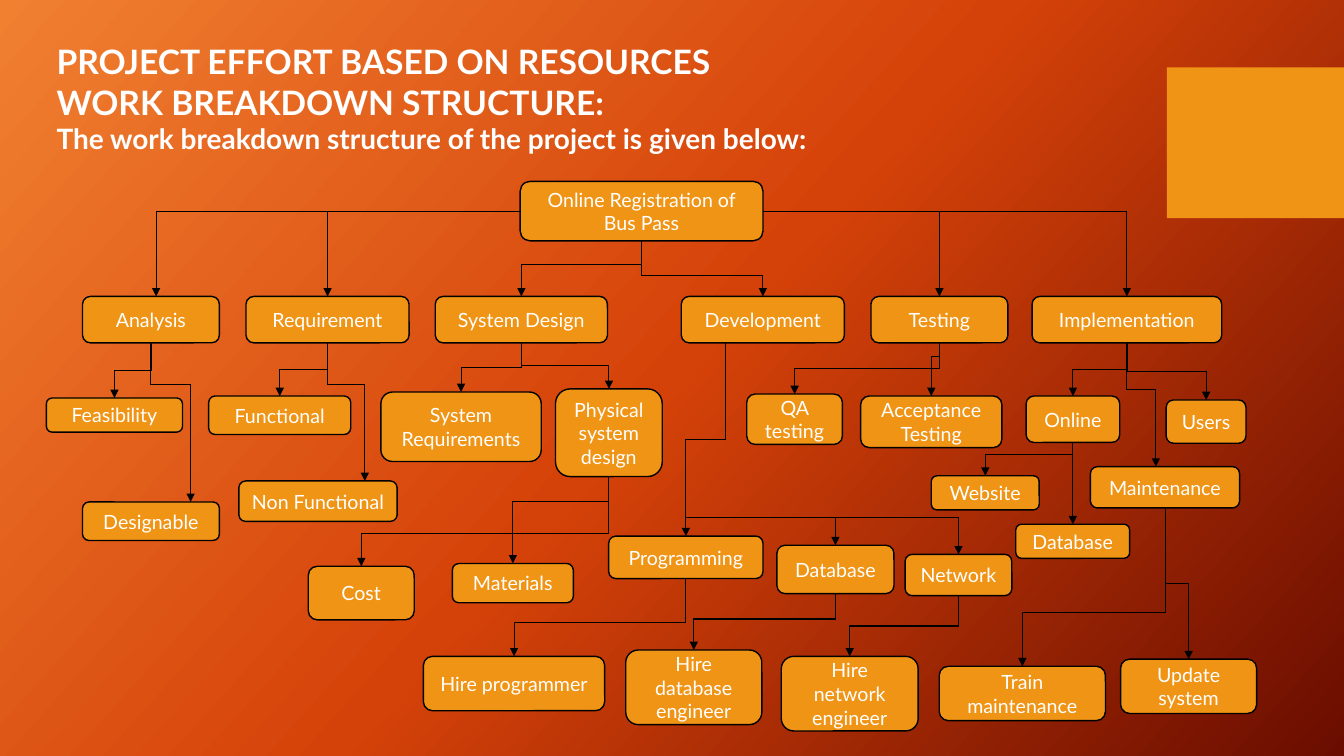
from copy import deepcopy

from pptx import Presentation
from pptx.dml.color import RGBColor
from pptx.enum import shapes, text
from pptx.oxml import parse_xml
from pptx.oxml.ns import nsdecls, qn
from pptx.util import Cm, Pt

FONT = "Lato"
ORANGE, BLACK, WHITE = "F09415", "000000", "FFFFFF"
BACKGROUND = [(0, "F18031"), (0.5, "D54209"), (1, "6A0D00")]
HEADING = [
    ("PROJECT EFFORT BASED ON RESOURCES", 24),
    ("WORK BREAKDOWN STRUCTURE:", 24),
    ("The work breakdown structure of the project is given below:", 20),
]

# Phases share one row: key -> (label, left, width), in cm
PHASE_TOP, PHASE_HEIGHT = 7.47, 1.17
PHASES = {
    "analysis": ("Analysis", 2.08, 3.45),
    "requirement": ("Requirement", 6.2, 4.11),
    "design": ("System Design", 10.97, 4.34),
    "development": ("Development", 17.17, 4.11),
    "testing": ("Testing", 21.95, 3.45),
    "implementation": ("Implementation", 26.01, 4.78),
}
# key -> (label, left, top, width, height), in cm
TASKS = {
    "project": ("Online Registration of Bus Pass", 13.11, 4.57, 6.12, 1.5),
    "feasibility": ("Feasibility", 1.17, 10.03, 3.43, 0.86),
    "designable": ("Designable", 2.08, 12.65, 3.45, 0.97),
    "functional": ("Functional", 5.26, 9.98, 3.58, 0.97),
    "non functional": ("Non Functional", 6.02, 12.12, 3.99, 1.02),
    "system": ("System Requirements", 9.6, 9.88, 4.04, 1.75),
    "physical": ("Physical system design", 14, 9.8, 2.69, 2.21),
    "cost": ("Cost", 7.77, 14.27, 2.67, 1.35),
    "materials": ("Materials", 11.4, 14.2, 3.05, 0.99),
    "programming": ("Programming", 15.34, 13.51, 3.89, 1.07),
    "database": ("Database", 19.58, 13.74, 2.95, 1.22),
    "network": ("Network", 22.81, 13.97, 2.69, 1.04),
    "programmer": ("Hire programmer", 10.67, 16.54, 4.57, 1.37),
    "database engineer": ("Hire database engineer", 15.77, 16.38, 3.43, 1.88),
    "network engineer": ("Hire network engineer", 19.69, 16.54, 3.45, 1.88),
    "qa": ("QA testing", 18.82, 9.93, 2.41, 1.27),
    "acceptance": ("Acceptance Testing", 21.69, 9.98, 3.56, 1.3),
    "online": ("Online", 25.86, 9.98, 2.36, 1.17),
    "website": ("Website", 23.47, 11.99, 2.72, 0.86),
    "online database": ("Database", 25.6, 13.21, 2.87, 0.86),
    "maintenance": ("Maintenance", 27.48, 11.76, 3.76, 1.04),
    "users": ("Users", 29.39, 10.08, 2.01, 1.09),
    "train": ("Train maintenance", 23.67, 16.79, 4.19, 1.37),
    "update": ("Update system", 28.24, 16.61, 3.43, 1.37),
}
# parent, child, share of the drop before the turn, shift at parent, shift at child
BRANCHES = [
    ("project", "design", 0.42, 0, 0),
    ("project", "development", 0.63, 0, 0),
    ("analysis", "feasibility", 0.5, 0, 0),
    ("analysis", "designable", 0.26, 0, 1),
    ("requirement", "functional", 0.5, 0, 0),
    ("requirement", "non functional", 0.3, 0, 1.18),
    ("design", "system", 0.5, 0, 0),
    ("design", "physical", 0.5, 0, 0),
    ("physical", "cost", 0.63, 0, 0),
    ("physical", "materials", 0.29, 0, 0),
    ("development", "programming", 0.5, -0.95, 0),
    ("programming", "programmer", 0.56, 0, 0),
    ("database", "database engineer", 0.45, 0, 0),
    ("network", "network engineer", 0.5, 0, 0),
    ("testing", "qa", 0.5, 0, 0),
    ("testing", "acceptance", 0.26, 0, 0),
    ("implementation", "online", 0.5, 0, 0),
    ("implementation", "maintenance", 0.38, 0, -0.23),
    ("implementation", "users", 0.5, 0, 0),
    ("online", "website", 0.36, 0, 0),
    ("online", "online database", 0.5, 0, 0),
    ("maintenance", "train", 0.66, 0, 0),
    ("maintenance", "update", 0.5, 0, 0),
]
RESOURCE_TRUNK = 13.03


def color(value):
    return RGBColor.from_string(value)


def paint(shape):
    shape.shadow.inherit = False
    shape.fill.solid()
    shape.fill.fore_color.rgb = color(ORANGE)


def add_task(label, left, top, width, height):
    task = chart.add_shape(shapes.MSO_SHAPE.ROUNDED_RECTANGLE,
                           Cm(left), Cm(top), Cm(width), Cm(height))
    paint(task)
    task.line.color.rgb = color(BLACK)
    task.line.width = Pt(1)
    task.text_frame.word_wrap = True
    task.text_frame.vertical_anchor = text.MSO_ANCHOR.MIDDLE
    paragraph = task.text_frame.paragraphs[0]
    paragraph.text = label
    paragraph.alignment = text.PP_ALIGN.CENTER
    set_font(paragraph, 14)
    return task


def set_font(paragraph, size):
    paragraph.font.name = FONT
    paragraph.font.size = Pt(size)
    paragraph.font.color.rgb = color(WHITE)


def add_arrow(kind, x1, y1, x2, y2):
    arrow = chart.add_connector(kind, x1, y1, x2, y2)
    arrow.line.color.rgb = color(BLACK)
    arrow.line.width = Pt(0.75)
    arrow.line._get_or_add_ln().append(
        parse_xml(f'<a:tailEnd {nsdecls("a")} type="triangle"/>'))
    arrow._element.spPr.append(parse_xml(f'<a:effectLst {nsdecls("a")}/>'))
    return arrow


def add_side_arrow(x1, y1, x2, y2):
    """Run sideways first, then down into the child."""
    arrow = add_arrow(shapes.MSO_CONNECTOR.ELBOW, x1, y1, x2, y2)
    arrow._element.spPr.find(qn("a:prstGeom")).set("prst", "bentConnector2")


def add_down_arrow(x1, y1, x2, y2, turn):
    """Run down, across at the turn, then down: an elbow on its side."""
    drop, across = y2 - y1, abs(x2 - x1)
    arrow = add_arrow(shapes.MSO_CONNECTOR.ELBOW, 0, 0, drop, across)
    arrow.left = (x1 + x2 - drop) // 2
    arrow.top = (y1 + y2 - across) // 2
    xfrm = arrow._element.spPr.find(qn("a:xfrm"))
    xfrm.set("rot", "16200000" if x2 > x1 else "5400000")
    if x2 > x1:
        xfrm.set("flipH", "1")
    guides = arrow._element.spPr.find(qn("a:prstGeom")).get_or_add_avLst()
    guides.append(parse_xml(
        f'<a:gd {nsdecls("a")} name="adj1" fmla="val {round(turn * 100000)}"/>'))


def middle(task):
    return task.left + task.width // 2


prs = Presentation()
prs.slide_width, prs.slide_height = Cm(33.87), Cm(19.05)
slide = prs.slides.add_slide(prs.slide_layouts[5])

backdrop = slide.background.fill
backdrop.gradient()
backdrop.gradient_angle = 360 - 42
stop_list = next(slide.element.iter(qn("a:gsLst")))
stop_list.insert(1, deepcopy(stop_list[0]))
for stop, (position, shade) in zip(backdrop.gradient_stops, BACKGROUND):
    stop.position = position
    stop.color.rgb = color(shade)

side_block = slide.shapes.add_shape(shapes.MSO_SHAPE.RECTANGLE,
                                    Cm(29.41), Cm(1.7), Cm(4.46), Cm(3.8))
paint(side_block)
side_block.line.fill.background()

heading = slide.shapes.title
heading.left, heading.top, heading.width, heading.height = Cm(1.17), Cm(0.91), Cm(24.79), Cm(3.18)
heading.text_frame.auto_size = text.MSO_AUTO_SIZE.NONE
heading.text_frame.vertical_anchor = text.MSO_ANCHOR.TOP
heading.text_frame.text = "\n".join(line for line, size in HEADING)
for paragraph, (line, size) in zip(heading.text_frame.paragraphs, HEADING):
    paragraph.alignment = text.PP_ALIGN.LEFT
    paragraph.font.bold = True
    set_font(paragraph, size)

chart = slide.shapes.add_group_shape().shapes
tasks = {key: add_task(*task) for key, task in TASKS.items()}
for key, (label, left, width) in PHASES.items():
    tasks[key] = add_task(label, left, PHASE_TOP, width, PHASE_HEIGHT)

project = tasks["project"]
project_middle = project.top + project.height // 2
add_side_arrow(project.left, project_middle,
               middle(tasks["analysis"]) + Cm(0.13), tasks["analysis"].top)
add_side_arrow(project.left + project.width, project_middle,
               middle(tasks["implementation"]), tasks["implementation"].top)
for key in ("requirement", "testing"):
    x = middle(tasks[key])
    drop_line = add_arrow(shapes.MSO_CONNECTOR.STRAIGHT, x, project_middle, x, tasks[key].top)
    drop_line.end_connect(tasks[key], 0)

for parent, child, turn, start_shift, end_shift in BRANCHES:
    add_down_arrow(middle(tasks[parent]) + Cm(start_shift),
                   tasks[parent].top + tasks[parent].height,
                   middle(tasks[child]) + Cm(end_shift), tasks[child].top, turn)

for before, child in (("programming", "database"), ("database", "network")):
    add_side_arrow(middle(tasks[before]), Cm(RESOURCE_TRUNK),
                   middle(tasks[child]), tasks[child].top)

prs.save("out.pptx")
